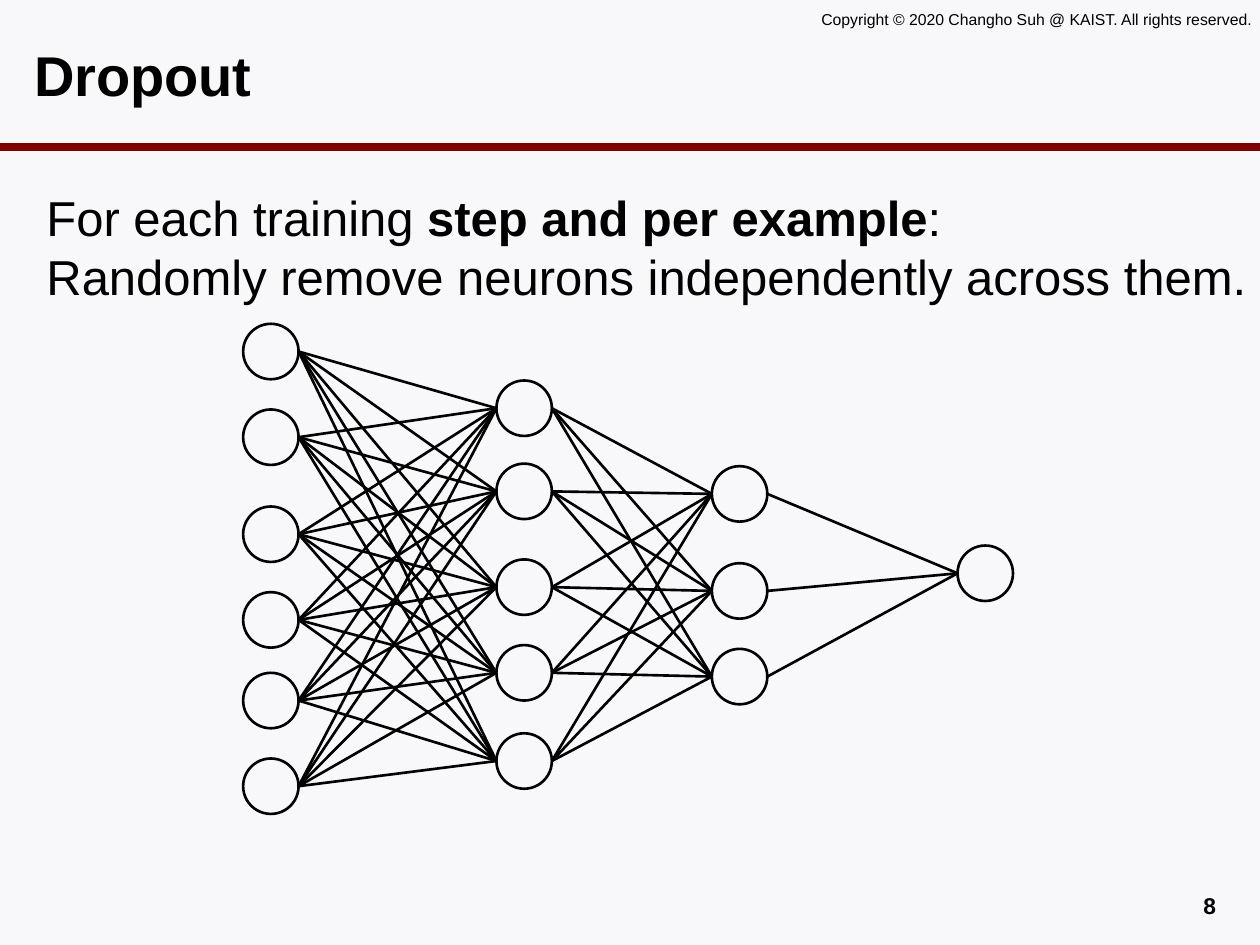
from itertools import pairwise, product

from lxml import etree
from pptx import Presentation
from pptx.dml.color import RGBColor
from pptx.enum.shapes import MSO_CONNECTOR, MSO_SHAPE
from pptx.enum.text import MSO_ANCHOR, PP_ALIGN
from pptx.oxml.ns import qn
from pptx.util import Inches, Pt

WIDTH, HEIGHT = 10, 7.5
BLACK, MAROON, PAPER = "000000", "800000", "F8F8FA"
NEURON = 0.44
# Each layer: left offset, then the top offset of every neuron, in the network's box
LAYERS = [
    (0, [0, 0.68, 1.45, 2.13, 2.77, 3.45]),
    (2.01, [0.45, 1.11, 1.87, 2.55, 3.25]),
    (3.72, [1.13, 1.9, 2.58]),
    (5.67, [1.76]),
]


def color(hex_string):
    return RGBColor.from_string(hex_string)


def place(shape, box):
    shape.left, shape.top, shape.width, shape.height = map(Inches, box)


def format_runs(paragraph, size, bold=False):
    for run in paragraph.runs:
        run.font.name = "Arial"
        run.font.size = Pt(size)
        run.font.bold = bold
        run.font.color.rgb = color(BLACK)


def add_line(slide, start, end, hex_string=BLACK, width=1.5):
    line = slide.shapes.add_connector(
        MSO_CONNECTOR.STRAIGHT, *map(Inches, (*start, *end)))
    line.line.color.rgb = color(hex_string)
    line.line.width = Pt(width)
    properties = line._element.find(qn("p:spPr"))
    etree.SubElement(properties, qn("a:effectLst"))


def add_text(slide, box, text, size, bold=False, align=PP_ALIGN.LEFT, wrap=True):
    frame = slide.shapes.add_textbox(*map(Inches, box)).text_frame
    frame.word_wrap = wrap
    frame.text = text
    paragraph = frame.paragraphs[0]
    paragraph.alignment = align
    format_runs(paragraph, size, bold)
    return paragraph


def add_header(slide, box):
    left, top, width, height = box
    add_line(slide, (left, top + height), (left + width, top + height), MAROON, 4.5)
    add_text(slide, (left + 6.42, top + 0.03, 3.73, 0.25),
             "Copyright © 2020 Changho Suh @ KAIST. All rights reserved.", 9, wrap=False)
    title = slide.shapes.title
    place(title, (left + 0.17, top + 0.17, width - 0.44, 0.83))
    frame = title.text_frame
    frame.text = "Dropout"
    frame.vertical_anchor = MSO_ANCHOR.MIDDLE
    frame.paragraphs[0].alignment = PP_ALIGN.LEFT
    format_runs(frame.paragraphs[0], 32, bold=True)


def add_statement(slide, box):
    paragraph = add_text(slide, box, "For each training ", 28)
    emphasis = paragraph.add_run()
    emphasis.text = "step and per example"
    paragraph.add_run().text = ":"
    paragraph.add_line_break()
    paragraph.add_run().text = "Randomly remove neurons independently across them."
    format_runs(paragraph, 28)
    emphasis.font.bold = True


def add_neuron(slide, left, top):
    neuron = slide.shapes.add_shape(
        MSO_SHAPE.OVAL, *map(Inches, (left, top, NEURON, NEURON)))
    neuron.shadow.inherit = False
    neuron.fill.background()
    neuron.line.color.rgb = color(BLACK)
    neuron.line.width = Pt(1.5)


def add_network(slide, left, top):
    """Draw the layers and join every neuron to all those of the next layer."""
    layers = [[(left + x, top + y) for y in rows] for x, rows in LAYERS]
    for layer in layers:
        for neuron in layer:
            add_neuron(slide, *neuron)
    for layer, following in pairwise(layers):
        for (x1, y1), (x2, y2) in product(layer, following):
            add_line(slide, (x1 + NEURON, y1 + NEURON / 2), (x2, y2 + NEURON / 2))


def main():
    presentation = Presentation()
    presentation.slide_width = Inches(WIDTH)
    presentation.slide_height = Inches(HEIGHT)
    slide = presentation.slides.add_slide(presentation.slide_layouts.get_by_name("Title Only"))
    slide.background.fill.solid()
    slide.background.fill.fore_color.rgb = color(PAPER)

    add_header(slide, (0, 0, WIDTH, 1.17))
    add_network(slide, 1.93, 2.57)
    add_statement(slide, (0.27, 1.44, 9.85, 0.94))
    add_text(slide, (7.42, 7.03, 2.33, 0.27), "8", 13, bold=True, align=PP_ALIGN.RIGHT)
    presentation.save("out.pptx")


if __name__ == "__main__":
    main()
